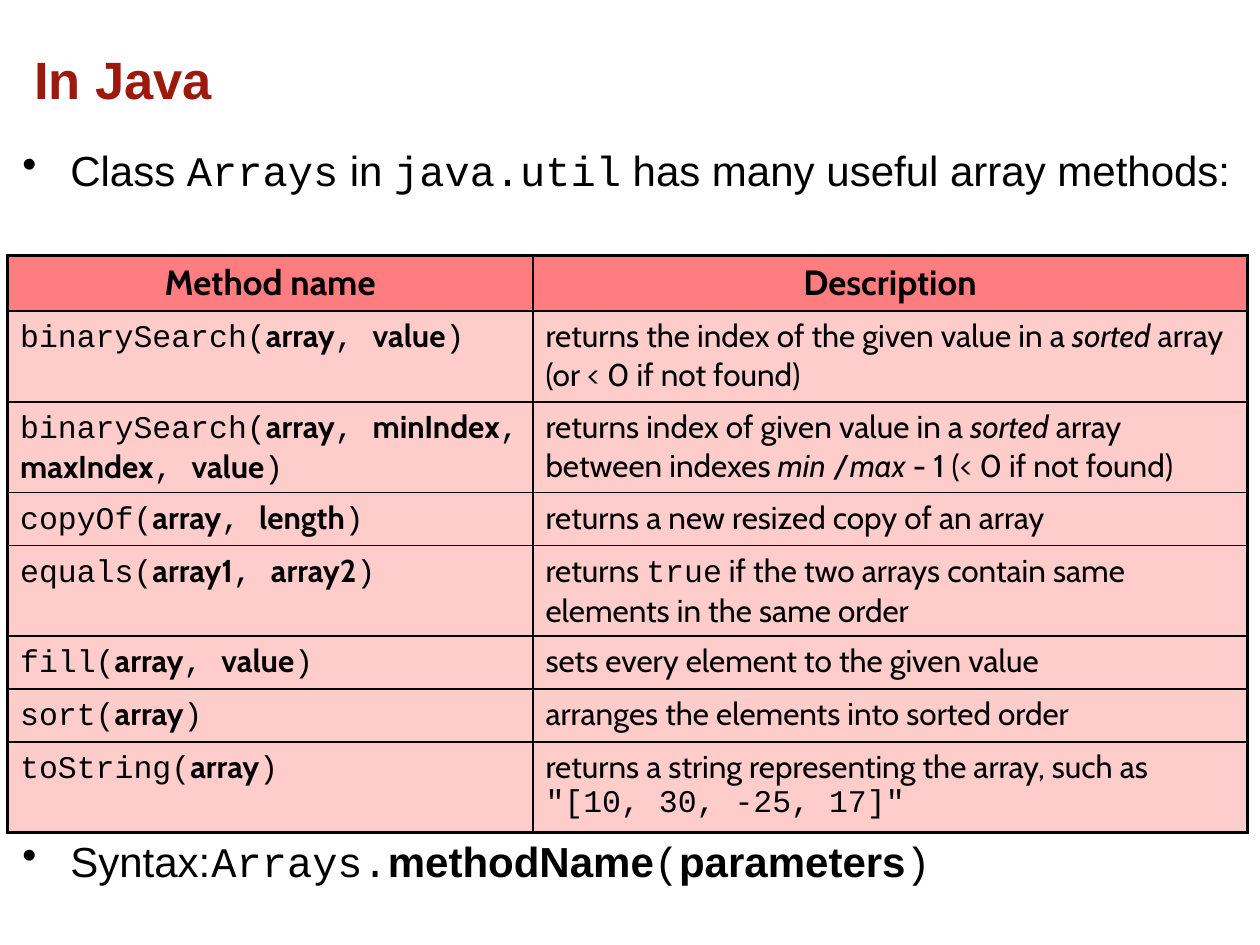
from lxml.etree import SubElement
from pptx import Presentation
from pptx.dml.color import RGBColor
from pptx.enum.text import MSO_ANCHOR, PP_ALIGN
from pptx.oxml import parse_xml
from pptx.oxml.ns import nsdecls, qn
from pptx.util import Inches, Pt

THEME = {
    "sans": "Arial", "table": "Cabin", "code": "Courier New",
    "title_color": "9C190D", "text": "000000", "head": "FF7C80", "body": "FFCCCC",
    "title_size": 30, "bullet_size": 24, "head_size": 20, "cell_size": 18,
    "outer": 2.25, "inner": 1,
}

TITLE = "In Java"
# Runs are (text, style), where style is "", "bold", "italic" or "code".
BULLETS = [
    (1.1, [("Class ", ""), ("Arrays", "code"), (" in ", ""), ("java.util", "code"),
           (" has many useful array methods:", "")]),
    (6.58, [("Syntax:\t", ""), ("Arrays.", "code"), ("methodName", "bold"),
            ("(", "code"), ("parameters", "bold"), (")", "code")]),
]
HEADERS = ["Method name", "Description"]
# Method, parameters, description, lines of text
METHODS = [
    ("binarySearch", ["array", "value"],
     [("returns the index of the given value in a ", ""), ("sorted", "italic"),
      (" array (or < 0 if not found)", "")], 2),
    ("binarySearch", ["array", "minIndex", "maxIndex", "value"],
     [("returns index of given value in a ", ""), ("sorted", "italic"),
      (" array between indexes ", ""), ("min ", "italic"), ("/", ""),
      ("max ", "italic"), ("- 1 (< 0 if not found)", "")], 2),
    ("copyOf", ["array", "length"], [("returns a new resized copy of an array", "")], 1),
    ("equals", ["array1", "array2"],
     [("returns ", ""), ("true", "code"),
      (" if the two arrays contain same elements in the same order", "")], 2),
    ("fill", ["array", "value"], [("sets every element to the given value", "")], 1),
    ("sort", ["array"], [("arranges the elements into sorted order", "")], 1),
    ("toString", ["array"],
     [("returns a string representing the array, such as ", ""),
      ('"[10, 30, -25, 17]"', "code")], 2),
]
COLUMNS = [4.17, 5.67]
HEAD_HEIGHT = 0.44
ROW_HEIGHTS = {1: 0.42, 2: 0.72}


def write(p, runs, font, size, color=THEME["text"]):
    for text, style in runs:
        r = p.add_run()
        r.text = text
        r.font.name = THEME["code"] if style == "code" else font
        r.font.size = Pt(size)
        r.font.bold = style == "bold"
        r.font.italic = style == "italic"
        r.font.color.rgb = RGBColor.from_string(color)


def signature(name, params):
    runs = [(name + "(", "code")]
    for i, param in enumerate(params):
        if i:
            runs.append((", ", "code"))
        runs.append((param, "bold"))
    return runs + [(")", "code")]


def add_bullet(s, top, runs):
    tf = s.shapes.add_textbox(Inches(0.08), Inches(top), Inches(9.83), Inches(0.5)).text_frame
    tf.word_wrap = True
    p = tf.paragraphs[0]
    pPr = p._p.get_or_add_pPr()
    pPr.set("marL", str(Inches(0.38)))
    pPr.set("indent", str(-Inches(0.38)))
    SubElement(pPr, qn("a:buChar")).set("char", "•")
    write(p, runs, THEME["sans"], THEME["bullet_size"])


def set_borders(cell, widths):
    """Draw the borders, with widths in points for left, right, top and bottom."""
    tcPr = cell._tc.get_or_add_tcPr()
    for i, (side, width) in enumerate(zip("LRTB", widths)):
        tcPr.insert(i, parse_xml(
            f'<a:ln{side} {nsdecls("a")} w="{Pt(width)}"><a:solidFill>'
            f'<a:srgbClr val="{THEME["text"]}"/></a:solidFill></a:ln{side}>'))


def add_methods_table(s):
    rows = [[[(h, "bold")] for h in HEADERS]]
    rows += [[signature(name, params), description] for name, params, description, _ in METHODS]
    heights = [HEAD_HEIGHT] + [ROW_HEIGHTS[lines] for *_, lines in METHODS]
    table = s.shapes.add_table(len(rows), len(COLUMNS), Inches(0.06), Inches(2.03),
                               Inches(sum(COLUMNS)), Inches(sum(heights))).table
    table.horz_banding = False
    for column, width in zip(table.columns, COLUMNS):
        column.width = Inches(width)
    for i, (row, height) in enumerate(zip(rows, heights)):
        table.rows[i].height = Inches(height)
        for j, runs in enumerate(row):
            cell = table.cell(i, j)
            cell.fill.solid()
            cell.fill.fore_color.rgb = RGBColor.from_string(THEME["body" if i else "head"])
            edges = (j == 0, j == len(COLUMNS) - 1, i == 0, i == len(rows) - 1)
            set_borders(cell, [THEME["outer" if edge else "inner"] for edge in edges])
            p = cell.text_frame.paragraphs[0]
            p.alignment = PP_ALIGN.LEFT if i else PP_ALIGN.CENTER
            write(p, runs, THEME["table"], THEME["cell_size" if i else "head_size"])


def main():
    prs = Presentation()
    prs.slide_width, prs.slide_height = Inches(10), Inches(7.5)
    s = prs.slides.add_slide(prs.slide_layouts[5])
    title = s.shapes.title
    title.left, title.top = Inches(0.17), Inches(0.26)
    title.width, title.height = Inches(9.28), Inches(0.72)
    tf = title.text_frame
    tf.vertical_anchor = MSO_ANCHOR.MIDDLE
    tf.paragraphs[0].alignment = PP_ALIGN.LEFT
    write(tf.paragraphs[0], [(TITLE, "bold")], THEME["sans"], THEME["title_size"],
          THEME["title_color"])
    for top, runs in BULLETS:
        add_bullet(s, top, runs)
    add_methods_table(s)
    prs.save("out.pptx")


if __name__ == "__main__":
    main()
